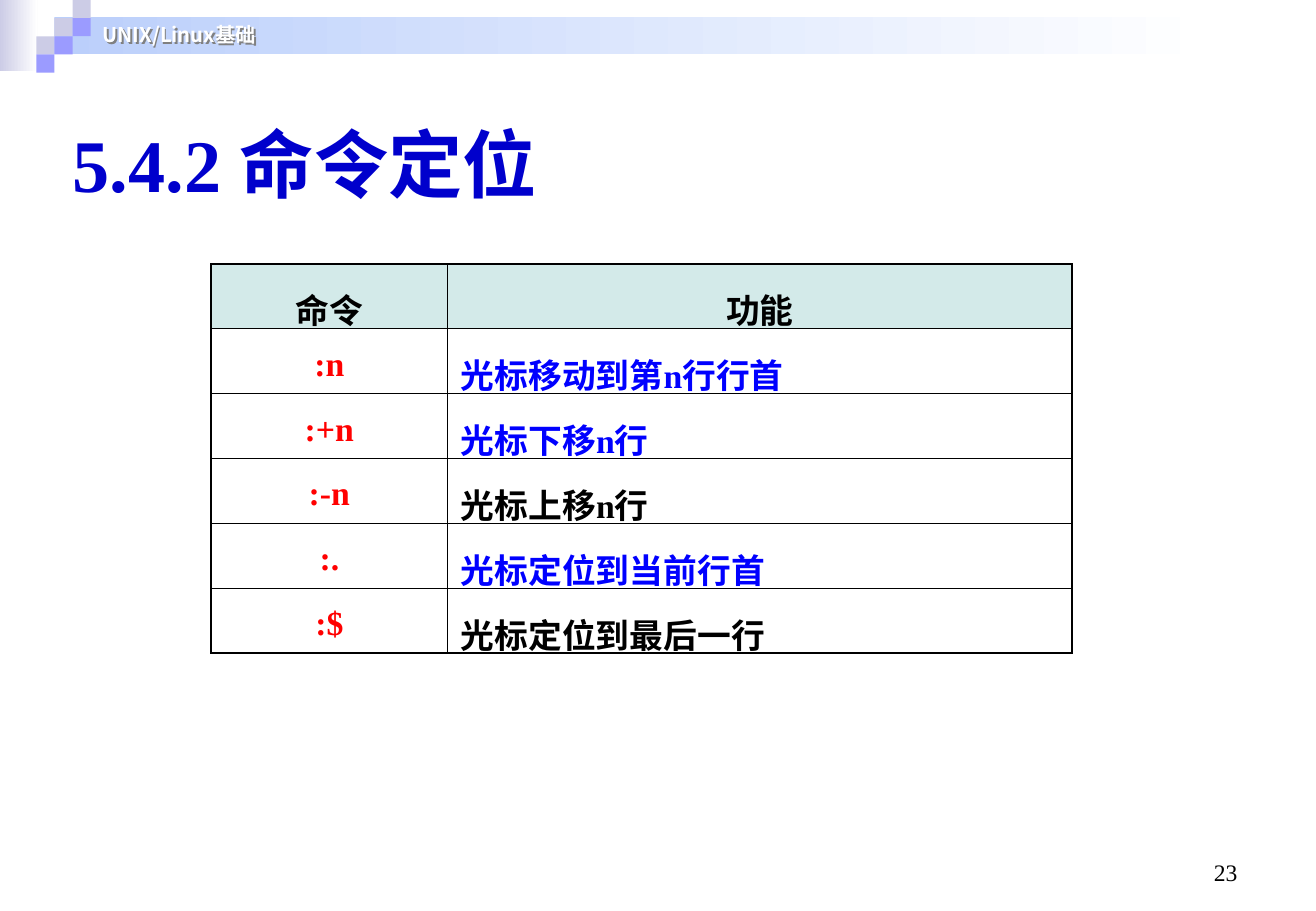
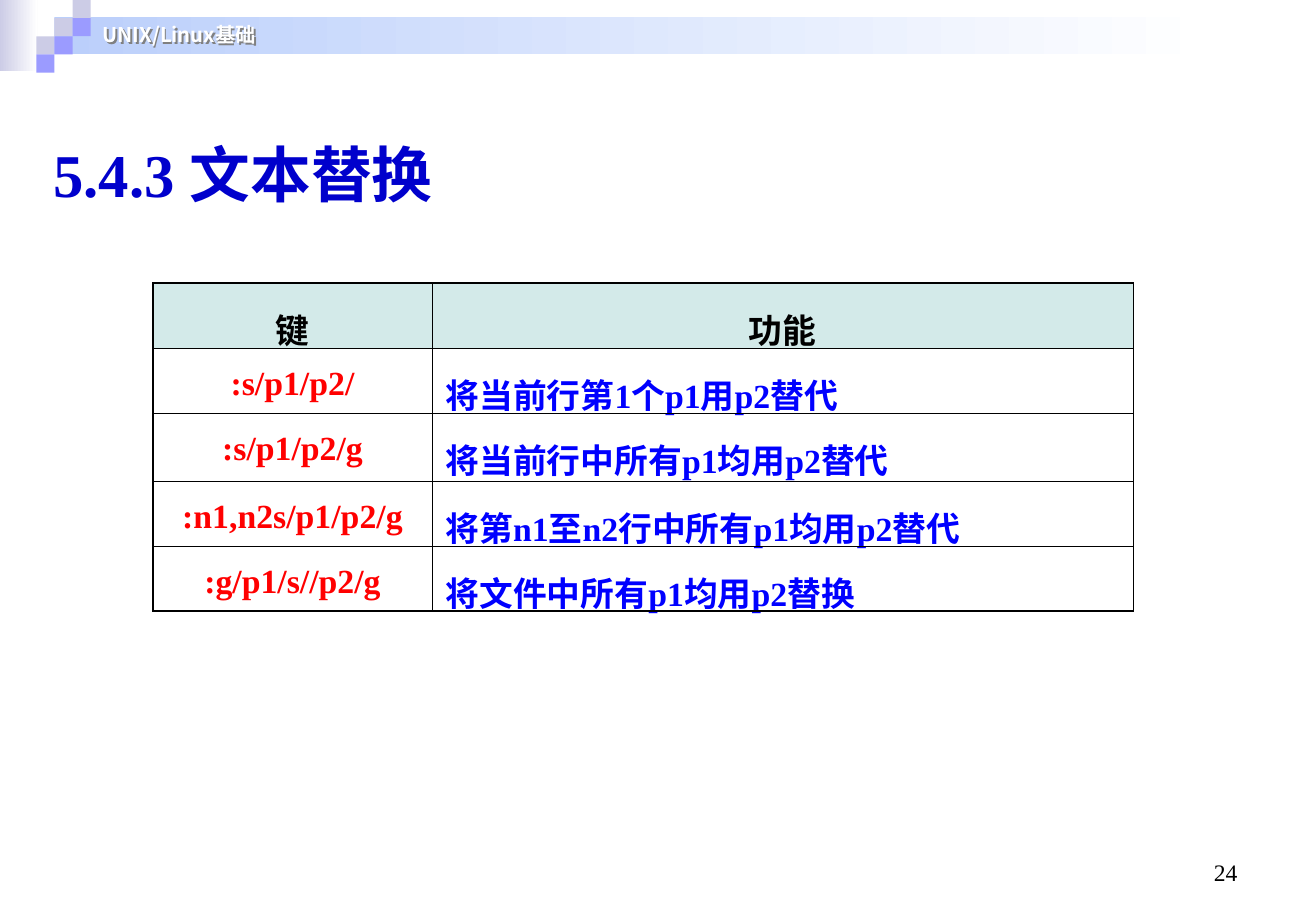
from pptx import Presentation
from pptx.dml.color import RGBColor
from pptx.enum.shapes import MSO_SHAPE
from pptx.enum.text import MSO_ANCHOR, MSO_AUTO_SIZE, PP_ALIGN
from pptx.oxml import parse_xml
from pptx.oxml.ns import nsdecls
from pptx.util import Cm, Pt

BLACK = RGBColor(0x00, 0x00, 0x00)
WHITE = RGBColor(0xFF, 0xFF, 0xFF)
GRAY = RGBColor(0x80, 0x80, 0x80)
RED = RGBColor(0xFF, 0x00, 0x00)
BLUE = RGBColor(0x00, 0x00, 0xFF)
TITLE_BLUE = RGBColor(0x00, 0x00, 0xCC)
LAVENDER = RGBColor(0xCC, 0xCC, 0xE6)
VIOLET = RGBColor(0x9B, 0x9B, 0xFF)
BAND_BLUE = RGBColor(0xBB, 0xCF, 0xFB)
HEADER_FILL = RGBColor(0xD3, 0xEA, 0xE9)
SERIF = "Times New Roman"
SANS = "Noto Sans CJK JP"
SQUARE = 0.38
FIRST_NUMBER = 23

SLIDES = [
    {
        "title": "5.4.2 命令定位", "size": 44, "title_box": (1.27, 2.34, 18, 2.13),
        "table_at": (4.42, 5.52), "cols": (4.94, 13.07), "row_heights": [1.355] * 6,
        "rows": [
            ("命令", "功能", BLACK),
            (":n", "光标移动到第n行行首", BLUE),
            (":+n", "光标下移n行", BLUE),
            (":-n", "光标上移n行", BLACK),
            (":.", "光标定位到当前行首", BLUE),
            (":$", "光标定位到最后一行", BLACK),
        ],
    },
    {
        "title": "5.4.3 文本替换", "size": 36, "title_box": (0.86, 2.74, 18, 1.78),
        "table_at": (3.2, 5.92), "cols": (5.84, 14.67),
        "row_heights": [1.36, 1.36, 1.42, 1.36, 1.36],
        "rows": [
            ("键", "功能", BLACK),
            (":s/p1/p2/", "将当前行第1个p1用p2替代", BLUE),
            (":s/p1/p2/g", "将当前行中所有p1均用p2替代", BLUE),
            (":n1,n2s/p1/p2/g", "将第n1至n2行中所有p1均用p2替代", BLUE),
            (":g/p1/s//p2/g", "将文件中所有p1均用p2替换", BLUE),
        ],
    },
]


def format_text(p, size, color, align=PP_ALIGN.LEFT, name=SERIF, bold=True):
    p.alignment = align
    p.font.size = Pt(size)
    p.font.bold = bold
    p.font.color.rgb = color
    p.font.name = name
    p._p.pPr.defRPr.append(parse_xml(f'<a:ea {nsdecls("a")} typeface="{SANS}"/>'))


def add_block(shapes, x, y, w, h, color, fade=False):
    sp = shapes.add_shape(MSO_SHAPE.RECTANGLE, Cm(x), Cm(y), Cm(w), Cm(h))
    sp.shadow.inherit = False
    sp.line.fill.background()
    if fade:
        sp.fill.gradient()
        sp.fill.gradient_angle = 0
        for stop, rgb in zip(sp.fill.gradient_stops, (color, WHITE)):
            stop.color.rgb = rgb
    else:
        sp.fill.solid()
        sp.fill.fore_color.rgb = color


prs = Presentation()
prs.slide_width, prs.slide_height = Cm(27.53), Cm(19.05)
layout = prs.slide_layouts[5]
slides = [prs.slides.add_slide(layout) for _ in SLIDES]

banner = slides[0].shapes.add_group_shape()
add_block(banner.shapes, 0, 0, 0.79, 1.48, LAVENDER, fade=True)
add_block(banner.shapes, 1.14, 0.36, 24.26, 0.78, BAND_BLUE, fade=True)
for col, row, color in [(1, 1, LAVENDER), (2, 0, LAVENDER), (2, 1, VIOLET),
                        (0, 2, LAVENDER), (1, 2, VIOLET), (0, 3, VIOLET)]:
    add_block(banner.shapes, 0.76 + col * SQUARE, row * SQUARE, SQUARE, SQUARE, color)
course = banner.shapes.add_textbox(Cm(1.9), Cm(0.35), Cm(13.59), Cm(0.76))
course.text_frame.text = "UNIX/Linux基础"
course.text_frame.word_wrap = True
format_text(course.text_frame.paragraphs[0], 12, WHITE, name=SANS)
course.element.spPr.append(parse_xml(
    f'<a:effectLst {nsdecls("a")}><a:outerShdw dist="17961" dir="2700000">'
    f'<a:srgbClr val="{GRAY}"/></a:outerShdw></a:effectLst>'))
layout.shapes.element.append(banner.element)

for number, (s, data) in enumerate(zip(slides, SLIDES), FIRST_NUMBER):
    title = s.shapes.title
    title.left, title.top, title.width, title.height = map(Cm, data["title_box"])
    tf = title.text_frame
    tf.text = data["title"]
    tf.word_wrap = True
    tf.auto_size = MSO_AUTO_SIZE.NONE
    tf.vertical_anchor = MSO_ANCHOR.TOP
    format_text(tf.paragraphs[0], data["size"], TITLE_BLUE)

    page = s.shapes.add_textbox(Cm(19.71), Cm(17.33), Cm(6.43), Cm(1.32))
    tf = page.text_frame
    tf.text = str(number)
    tf.word_wrap = True
    tf.vertical_anchor = MSO_ANCHOR.BOTTOM
    format_text(tf.paragraphs[0], 14, BLACK, PP_ALIGN.RIGHT, bold=False)

    rows, cols, heights = data["rows"], data["cols"], data["row_heights"]
    left, top = data["table_at"]
    table = s.shapes.add_table(len(rows), len(cols), Cm(left), Cm(top),
                               Cm(sum(cols)), Cm(sum(heights))).table
    table.first_row = table.horz_banding = False
    for column, width in zip(table.columns, cols):
        column.width = Cm(width)
    for i, (command, meaning, color) in enumerate(rows):
        table.rows[i].height = Cm(heights[i])
        for j, text in enumerate((command, meaning)):
            cell = table.cell(i, j)
            cell.margin_left = cell.margin_right = Cm(0.28)
            outer = {"L": j == 0, "R": j == 1, "T": i == 0, "B": i == len(rows) - 1}
            for side, is_outer in outer.items():
                width = Pt(1.08 if is_outer else 0.45)
                cell._tc.get_or_add_tcPr().append(parse_xml(
                    f'<a:ln{side} {nsdecls("a")} w="{width}"><a:solidFill>'
                    f'<a:srgbClr val="{BLACK}"/></a:solidFill></a:ln{side}>'))
            if i == 0:
                cell.fill.solid()
                cell.fill.fore_color.rgb = HEADER_FILL
            else:
                cell.fill.background()
            cell.text_frame.text = text
            p = cell.text_frame.paragraphs[0]
            p.line_spacing = 1.3
            format_text(p, 20, RED if i and j == 0 else color,
                        PP_ALIGN.CENTER if i == 0 or j == 0 else PP_ALIGN.LEFT)

prs.save("out.pptx")
